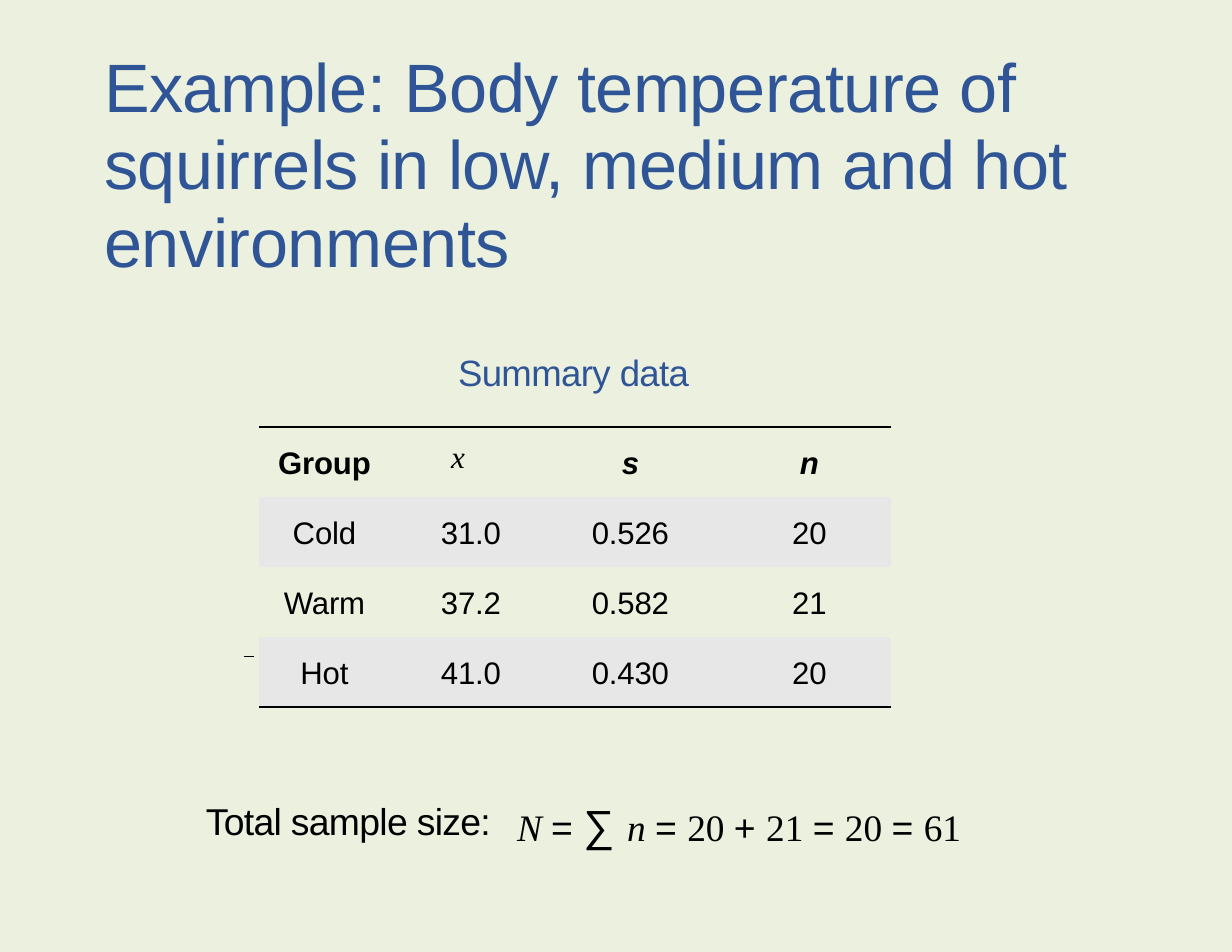
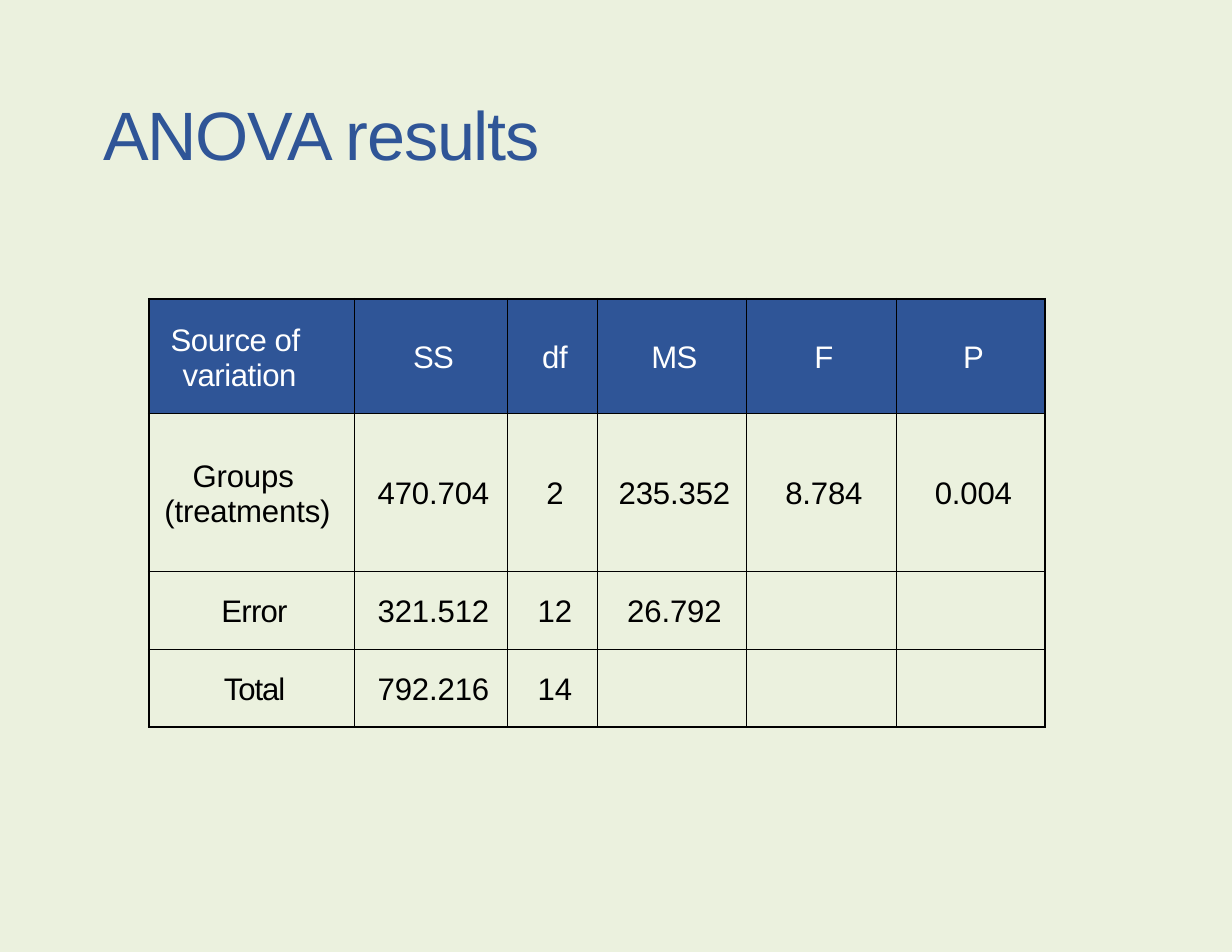
from dataclasses import dataclass

from lxml.etree import SubElement
from pptx import Presentation
from pptx.dml.color import RGBColor as Rgb
from pptx.enum.shapes import MSO_CONNECTOR as Conn
from pptx.enum.text import MSO_ANCHOR as Anchor, MSO_AUTO_SIZE as Fit, PP_ALIGN as Align
from pptx.oxml.ns import qn
from pptx.util import Emu, Pt

NO_STYLE = "{2D5ABB26-0587-4C30-8999-92F81FD0307C}"


@dataclass(frozen=True)
class Theme:
    back: str = "EBF1DE"
    blue: str = "2F5597"
    ink: str = "000000"
    white: str = "FFFFFF"
    band: str = "E7E7E7"
    sans: str = "Arial"
    serif: str = "Times New Roman"
    head: float = 44
    note: float = 24
    sub: float = 23.5
    cell: float = 20
    sigma: float = 28


T = Theme()


def px(n):
    return Emu(round(n * 914400 / 112))


def put(frame, text, size=T.cell, color=T.ink, font=T.sans, bold=False, ital=False,
        spc=0, align=Align.LEFT, left=0, right=0, lines=None, top=5):
    """Fill a frame with a string, or with (string, format) pairs."""
    frame.word_wrap = True
    frame.margin_left = frame.margin_right = frame.margin_bottom = 0
    frame.margin_top = px(top)
    para = frame.paragraphs[0]
    props = para._p.get_or_add_pPr()
    props.set("marL", str(px(left)))
    props.set("marR", str(px(right)))
    props.set("indent", "0")
    para.alignment = align
    para.space_before = Pt(0)
    if lines:
        para.line_spacing = lines
    base = dict(size=size, color=color, font=font, bold=bold, ital=ital, spc=spc)
    pairs = [(text, {})] if isinstance(text, str) else text
    for words, extra in pairs:
        form = base | extra
        for i, part in enumerate(words.split("\v")):
            if i:
                para.add_line_break()
            run = para.add_run()
            run.text = part
            run.font.size = Pt(form["size"])
            run.font.name = form["font"]
            run.font.bold = form["bold"]
            run.font.italic = form["ital"]
            run.font.color.rgb = Rgb.from_string(form["color"])
            run._r.get_or_add_rPr().set("spc", str(round(form["spc"] * 100)))


def place(shape, box):
    shape.left, shape.top, shape.width, shape.height = map(px, box)


def title(slide, text, box, **form):
    shape = slide.shapes.title
    place(shape, box)
    frame = shape.text_frame
    frame.auto_size = Fit.NONE
    frame.vertical_anchor = Anchor.TOP
    put(frame, text, size=T.head, color=T.blue, top=8, **form)


def label(slide, text, box, **form):
    put(slide.shapes.add_textbox(*map(px, box)).text_frame, text, **form)


def rule(slide, x1, x2, y, width):
    line = slide.shapes.add_connector(Conn.STRAIGHT, px(x1), px(y), px(x2), px(y))
    line.line.color.rgb = Rgb.from_string(T.ink)
    line.line.width = Pt(width)
    SubElement(line._element.spPr, qn("a:effectLst"))


def grid(slide, left, top, cols, rows):
    """Add a plain table, without style or bands."""
    shape = slide.shapes.add_table(len(rows), len(cols), px(left), px(top),
                                   px(sum(cols)), px(sum(rows)))
    table = shape.table
    table.first_row = table.horz_banding = False
    table._tbl.tblPr.find(qn("a:tableStyleId")).text = NO_STYLE
    for col, size in zip(table.columns, cols):
        col.width = px(size)
    for row, size in zip(table.rows, rows):
        row.height = px(size)
    return table


def edge(cell, **sides):
    """Draw borders; sides L, R, T and B hold widths in points."""
    props = cell._tc.get_or_add_tcPr()
    for side in "LRTB":
        if side in sides:
            line = SubElement(props, qn("a:ln" + side), w=str(Pt(sides[side])))
            fill = SubElement(line, qn("a:solidFill"))
            SubElement(fill, qn("a:srgbClr"), val=T.ink)


def paint(cell, color=None):
    if color:
        cell.fill.solid()
        cell.fill.fore_color.rgb = Rgb.from_string(color)
    else:
        cell.fill.background()


def write(cell, text, top=4, **form):
    cell.vertical_anchor = Anchor.MIDDLE
    cell.margin_left = cell.margin_right = cell.margin_bottom = 0
    cell.margin_top = px(top)
    if text:
        put(cell.text_frame, text, align=Align.CENTER, top=top, **form)
        cell.margin_top = px(top)


def summary(slide):
    data = [("Group", "x", "s", "n"),
            ("Cold", "31.0", "0.526", "20"),
            ("Warm", "37.2", "0.582", "21"),
            ("Hot", "41.0", "0.430", "20")]
    lefts = (6, 29, 38, 34)
    table = grid(slide, 259, 427, (125, 145, 165, 197), [70] * 4)
    for r, row in enumerate(data):
        for c, text in enumerate(row):
            cell = table.cell(r, c)
            if r == 0:
                edge(cell, T=1)
            elif r == 3:
                edge(cell, B=1)
            paint(cell, T.band if r % 2 else None)
            if text == "x":
                write(cell, text, font=T.serif, ital=True, left=3,
                      lines=Pt(16.4), top=0)
            else:
                write(cell, text, bold=r == 0, ital=r == 0 and c > 0,
                      spc=-0.1, left=lefts[c])


def anova(slide):
    data = [("Source of \vvariation", "SS", "df", "MS", "F", "P"),
            ("Groups \v(treatments)", "470.704", "2", "235.352", "8.784", "0.004"),
            ("Error", "321.512", "12", "26.792", "", ""),
            ("Total", "792.216", "14", "", "", "")]
    rights = (30, 14, 0, 0)
    gaps = {"Error": -0.5, "Total": -0.7, "SS": -0.6, "MS": -0.5,
            data[0][0]: -0.3}
    table = grid(slide, 149, 299, (205, 153, 90, 149, 150, 149), (114, 158, 78, 78))
    for r, row in enumerate(data):
        for c, text in enumerate(row):
            cell = table.cell(r, c)
            edge(cell, L=0.5 if c else 1.5, R=1.5 if c == 5 else 0.5,
                 T=0.5 if r else 1.5, B=1.5 if r == 3 else 0.5)
            paint(cell, None if r else T.blue)
            write(cell, text, color=T.ink if r else T.white, left=6,
                  right=0 if c else rights[r], spc=gaps.get(text, -0.1))


def total(slide):
    label(slide, "Total sample size:", (205, 793, 327, 47), size=T.note,
          spc=-0.45, left=1)
    sans, ital = dict(font=T.sans), dict(ital=True)
    sigma = dict(font=T.sans, size=T.sigma, spc=0.2)
    sums = [("N ", ital), ("= ", sans), ("∑ ", sigma), ("n ", ital), ("= ", sans),
            ("20 ", {}), ("+ ", sans), ("21 ", {}), ("= ", sans),
            ("20 ", {}), ("= ", sans), ("61", {})]
    label(slide, sums, (513, 793, 529, 55), size=T.note, font=T.serif, left=4)


def main():
    deck = Presentation()
    deck.slide_width, deck.slide_height = px(1232), px(952)
    fill = deck.slide_master.background.fill
    fill.solid()
    fill.fore_color.rgb = Rgb.from_string(T.back)
    first, second = (deck.slides.add_slide(deck.slide_layouts[5]) for _ in range(2))

    title(first, "Example: Body temperature of squirrels in low, medium and hot "
          "environments", (103, 43, 1064, 230), spc=-0.3, lines=0.94, left=1)
    label(first, "Summary data", (457, 345, 235, 48), size=T.sub, color=T.blue,
          spc=-0.4, left=1)
    rule(first, 244, 254, 656, 0.59)
    summary(first)
    total(first)

    title(second, "ANOVA results", (103, 84, 598, 85), spc=-0.8)
    anova(second)
    deck.save("out.pptx")


if __name__ == "__main__":
    main()
